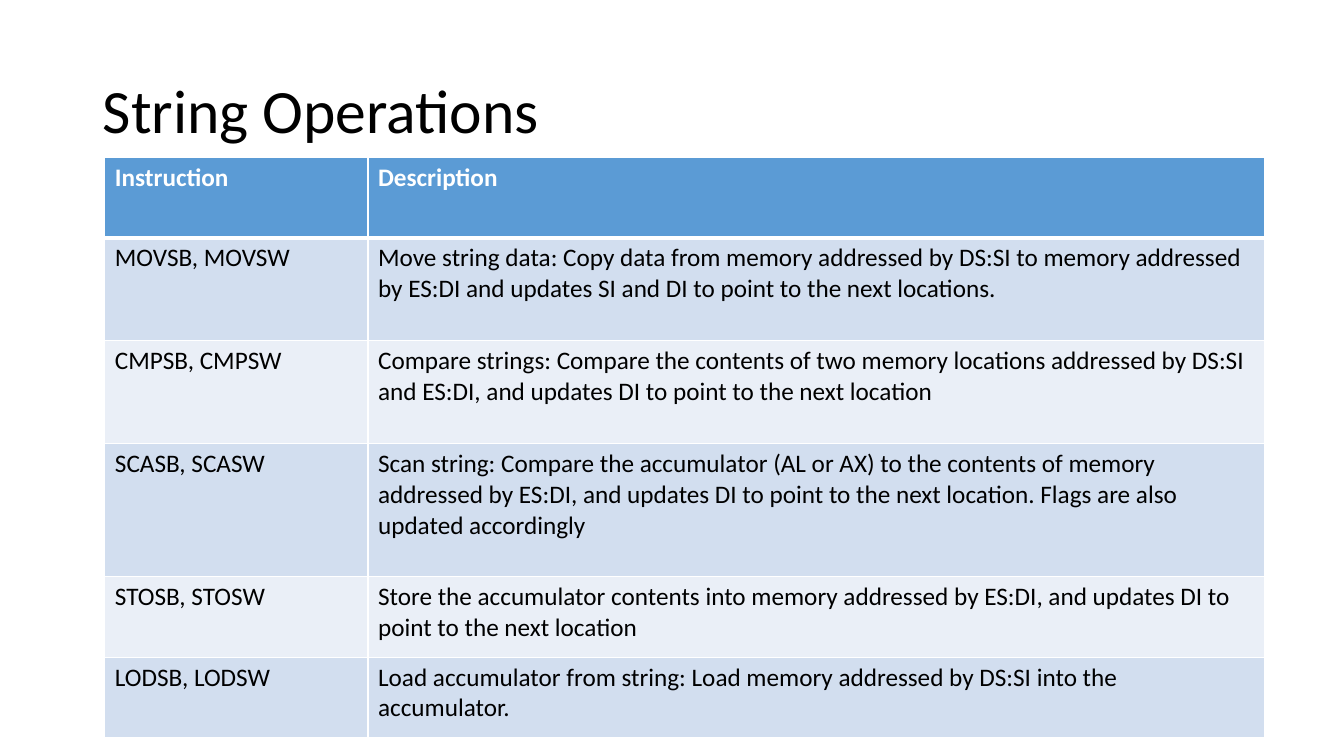
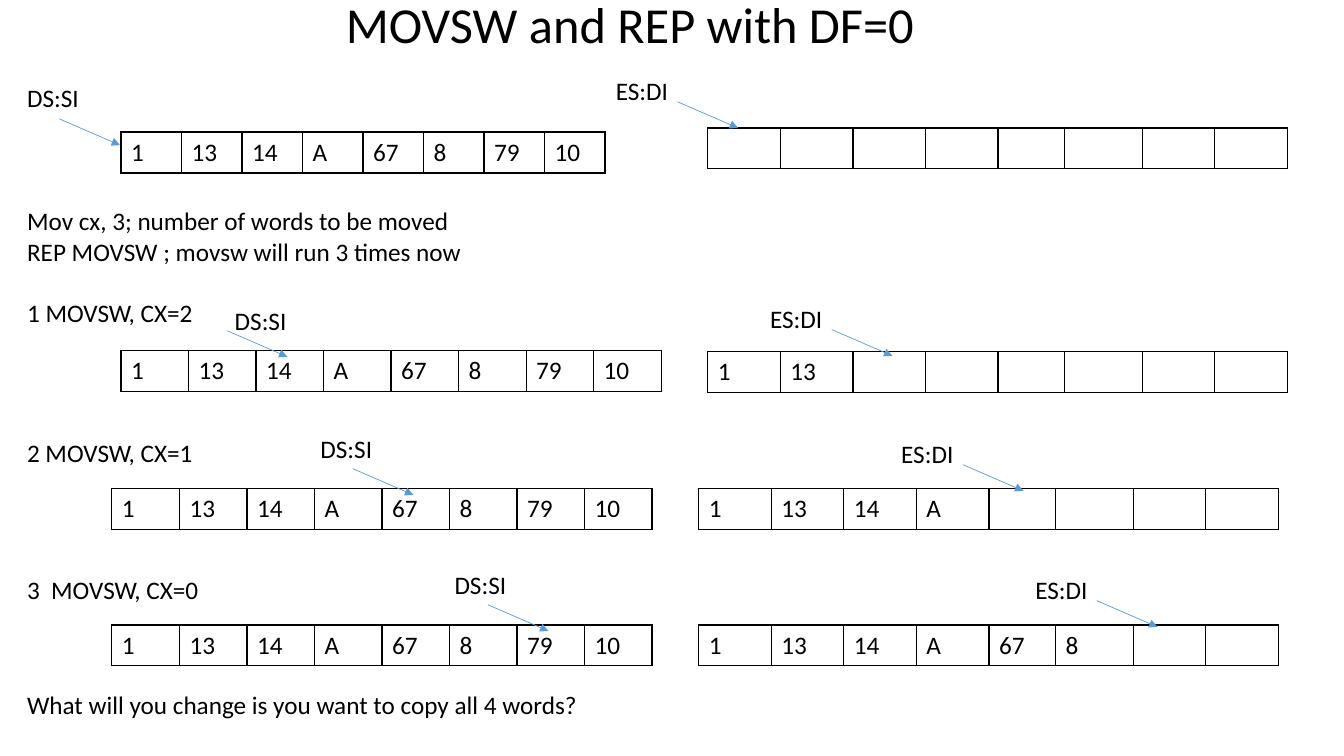
import pptx
import pptx.dml.color
import pptx.enum.dml
import pptx.enum.shapes
import pptx.enum.text
import pptx.oxml
import pptx.oxml.ns
import pptx.util

Inches = pptx.util.Inches
Pt = pptx.util.Pt

FONT = "Calibri"
BLACK, WHITE, BLUE = "000000", "FFFFFF", "5B9BD5"
BAND_DARK, BAND_LIGHT = "D2DEEF", "EAEFF7"
BODY_SIZE = 18

INSTRUCTIONS = [
    ("Instruction", "Description"),
    ("MOVSB, MOVSW",
     "Move string data: Copy data from memory addressed by DS:SI to memory addressed "
     "by ES:DI and updates SI and DI to point to the next locations."),
    ("CMPSB, CMPSW",
     "Compare strings: Compare the contents of two memory locations addressed by DS:SI "
     "and ES:DI, and updates DI to point to the next location"),
    ("SCASB, SCASW",
     "Scan string: Compare the accumulator (AL or AX) to the contents of memory addressed "
     "by ES:DI, and updates DI to point to the next location. Flags are also updated accordingly"),
    ("STOSB, STOSW",
     "Store the accumulator contents into memory addressed by ES:DI, and updates DI to "
     "point to the next location"),
    ("LODSB, LODSW",
     "Load accumulator from string: Load memory addressed by DS:SI into the accumulator."),
]
INSTRUCTION_HEIGHTS = [0.8, 1.02, 1.02, 1.32, 0.8, 0.8]

WORDS = ["1", "13", "14", "A", "67", "8", "79", "10"]
TARGET_WIDTHS = [0.72, 0.72, 0.72, 0.72, 0.66, 0.77, 0.72, 0.72]
CELL_HEIGHT = 0.4

# Each step: source table, source cell width, target table, words copied,
STEPS = [
    dict(source=(1.2, 1.31), width=0.6, target=(7.02, 1.27), copied=0,
         si=(0.17, 0.77), si_arrow=(0.59, 1.18), di=(6.01, 0.7)),
    dict(source=(1.2, 3.48), width=0.67, target=(7.02, 3.49), copied=2,
         si=(2.23, 2.98), si_arrow=(2.25, 3.28), di=(7.54, 2.96)),
    dict(source=(1.11, 4.85), width=0.67, target=(6.93, 4.85), copied=4,
         si=(3.08, 4.25), si_arrow=(3.5, 4.65), di=(8.84, 4.3)),
    dict(source=(1.11, 6.2), width=0.67, target=(6.93, 6.2), copied=6,
         si=(4.41, 5.6), si_arrow=(4.84, 6), di=(10.17, 5.65)),
]


def rgb(value):
    """Turn a hex string into a colour."""
    return pptx.dml.color.RGBColor.from_string(value)


def format_text(tf, size=BODY_SIZE, color=BLACK, bold=False):
    """Format every run of a text frame."""
    for p in tf.paragraphs:
        for r in p.runs:
            r.font.name = FONT
            r.font.size = Pt(size)
            r.font.bold = bold
            r.font.color.rgb = rgb(color)


def add_titled_slide(prs, title, left, top, size):
    """Add a title-only slide with its title placed and formatted."""
    s = prs.slides.add_slide(prs.slide_layouts[5])
    sp = s.shapes.title
    sp.left, sp.top = Inches(left), Inches(top)
    sp.width, sp.height = Inches(11.5), Inches(1.45)
    tf = sp.text_frame
    tf.text = title
    tf.auto_size = pptx.enum.text.MSO_AUTO_SIZE.NONE
    tf.vertical_anchor = pptx.enum.text.MSO_ANCHOR.MIDDLE
    tf.paragraphs[0].alignment = pptx.enum.text.PP_ALIGN.LEFT
    tf.paragraphs[0].line_spacing = 0.9
    format_text(tf, size)
    return s


def add_label(s, lines, left, top, width, height=0.4, wrap=True):
    """Add a text box with one paragraph per line and return its text frame."""
    sp = s.shapes.add_textbox(Inches(left), Inches(top), Inches(width), Inches(height))
    tf = sp.text_frame
    tf.text = "\n".join(lines)
    tf.word_wrap = wrap
    tf.auto_size = pptx.enum.text.MSO_AUTO_SIZE.SHAPE_TO_FIT_TEXT
    format_text(tf)
    return tf


def add_arrow(s, left, top):
    """Add a thin arrow that points down and to the right."""
    line = s.shapes.add_connector(
        pptx.enum.shapes.MSO_CONNECTOR.STRAIGHT,
        Inches(left), Inches(top), Inches(left + 0.6), Inches(top + 0.26))
    line.line.color.rgb = rgb(BLUE)
    line.line.width = Pt(0.5)
    tail = pptx.oxml.parse_xml(
        f'<a:tailEnd {pptx.oxml.ns.nsdecls("a")} type="triangle"/>')
    line.line._get_or_add_ln().append(tail)
    effects = pptx.oxml.parse_xml(f'<a:effectLst {pptx.oxml.ns.nsdecls("a")}/>')
    line._element.spPr.append(effects)


def set_borders(cell, color, top=1, bottom=1):
    """Draw the four borders of a cell, with widths in points."""
    tc_pr = cell._tc.get_or_add_tcPr()
    for side, width in (("L", 1), ("R", 1), ("T", top), ("B", bottom)):
        tc_pr.append(pptx.oxml.parse_xml(
            f'<a:ln{side} {pptx.oxml.ns.nsdecls("a")} w="{Pt(width)}">'
            f'<a:solidFill><a:srgbClr val="{color}"/></a:solidFill></a:ln{side}>'))


def add_plain_table(s, rows, left, top, widths, heights):
    """Add a table with its text and sizes but without banding."""
    frame = s.shapes.add_table(
        len(rows), len(widths), Inches(left), Inches(top),
        Inches(sum(widths)), Inches(sum(heights)))
    table = frame.table
    table.first_row = table.horz_banding = False
    for column, width in zip(table.columns, widths):
        column.width = Inches(width)
    for row, height, texts in zip(table.rows, heights, rows):
        row.height = Inches(height)
        for cell, text in zip(row.cells, texts):
            cell.text = text
            format_text(cell.text_frame)
    return table


def add_instruction_table(s):
    """Add the banded table of string instructions."""
    table = add_plain_table(s, INSTRUCTIONS, 1.04, 1.56, [2.61, 8.89], INSTRUCTION_HEIGHTS)
    for i, row in enumerate(table.rows):
        fill = BLUE if i == 0 else BAND_DARK if i % 2 else BAND_LIGHT
        for cell in row.cells:
            set_borders(cell, WHITE, top=3 if i == 1 else 1, bottom=3 if i == 0 else 1)
            cell.fill.solid()
            cell.fill.fore_color.rgb = rgb(fill)
            if i == 0:
                format_text(cell.text_frame, color=WHITE, bold=True)


def add_memory(s, words, left, top, widths):
    """Add a row of memory cells, leaving cells without a word empty."""
    texts = words + [""] * (len(widths) - len(words))
    table = add_plain_table(s, [texts], left, top, widths, [CELL_HEIGHT])
    for cell in table.iter_cells():
        set_borders(cell, BLACK)
        cell.fill.background()


def add_step(s, step):
    """Add source and target memory with their pointers."""
    add_memory(s, WORDS, *step["source"], [step["width"]] * len(WORDS))
    add_memory(s, WORDS[:step["copied"]], *step["target"], TARGET_WIDTHS)
    add_label(s, ["DS:SI"], *step["si"], 2.03)
    add_arrow(s, *step["si_arrow"])
    left, top = step["di"]
    add_label(s, ["ES:DI"], left, top, 2.03)
    add_arrow(s, left + 0.71, top + 0.31)


def main():
    """Build and save the presentation."""
    prs = pptx.Presentation()
    prs.slide_width, prs.slide_height = Inches(13.33), Inches(7.5)

    s = add_titled_slide(prs, "String Operations", 0.92, 0.4, 44)
    add_instruction_table(s)

    s = add_titled_slide(prs, "MOVSW and REP with DF=0", 3.33, -0.46, 36)
    for step in STEPS:
        add_step(s, step)
    code = ["Mov cx, 3; number of words to be moved",
            "REP MOVSW ; movsw will run 3 times now",
            "1 MOVSW, CX=2"]
    tf = add_label(s, code, 0.17, 1.99, 7.58, 1.31)
    tf.paragraphs[-1].space_before = Pt(22)
    add_label(s, ["2 MOVSW, CX=1"], 0.17, 4.29, 1.86, wrap=False)
    add_label(s, ["3  MOVSW, CX=0"], 0.17, 5.65, 1.92, wrap=False)
    add_label(s, ["What will you change is you want to copy all 4 words?"], 0.17, 6.79, 9.6)

    prs.save("out.pptx")


if __name__ == "__main__":
    main()
